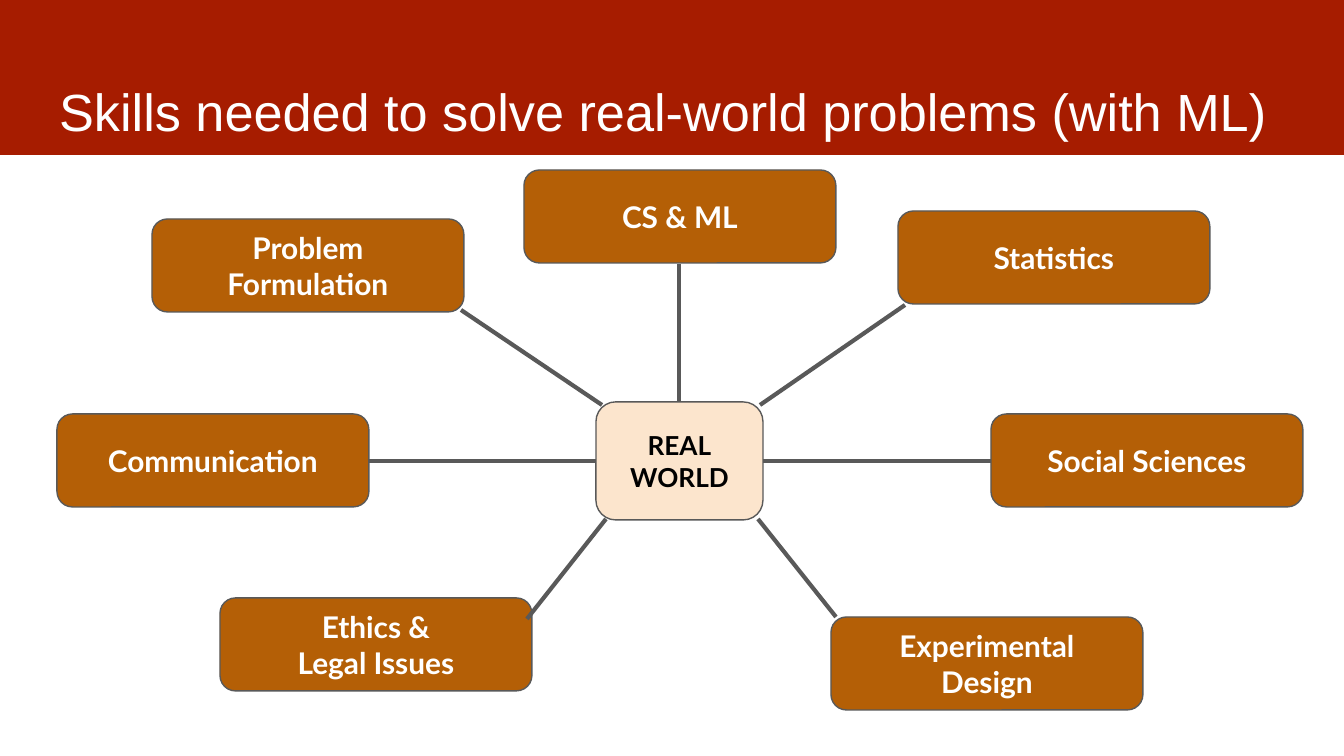
import pptx
import pptx.dml.color
import pptx.enum.shapes
import pptx.enum.text
import pptx.oxml.ns
import pptx.util
from lxml import etree

PX = 914400 / 134.4
SHAPE = pptx.enum.shapes.MSO_SHAPE
ALIGN = pptx.enum.text.PP_ALIGN
ANCHOR = pptx.enum.text.MSO_ANCHOR

SKILL_W, SKILL_H = 312, 93
# name lines, left and top of the box, line start at the box, line end at the centre
SKILLS = [
    (["CS & ML"], (524, 170), (679, 264), (679, 402)),
    (["Statistics"], (898, 211), (905, 305), (760, 405)),
    (["Social Sciences"], (991, 414), (991, 461), (763, 461)),
    (["Experimental", "Design"], (831, 617), (836, 617), (758, 519)),
    (["Ethics &", "Legal Issues"], (220, 598), (527, 619), (606, 519)),
    (["Communication"], (57, 414), (368, 461), (596, 461)),
    (["Problem", "Formulation"], (152, 219), (461, 310), (602, 405)),
]


def px(n):
    return pptx.util.Emu(round(n * PX))


def color(hex_value):
    return pptx.dml.color.RGBColor.from_string(hex_value)


class Deck:
    RED, BROWN, CREAM = "A61C00", "B45F06", "FCE5CD"
    GRAY, WHITE, BLACK = "595959", "FFFFFF", "000000"

    def __init__(self, w, h):
        self.prs = pptx.Presentation()
        self.prs.slide_width, self.prs.slide_height = px(w), px(h)
        self.s = self.prs.slides.add_slide(self.prs.slide_layouts[6])

    def text(self, sp, lines, size, font, hex_value, bold=False,
             align=ALIGN.CENTER, anchor=ANCHOR.MIDDLE):
        tf = sp.text_frame
        frame = {"word_wrap": True, "vertical_anchor": anchor}
        for side in ("left", "top", "right", "bottom"):
            frame["margin_" + side] = pptx.util.Inches(0.1)
        for name, value in frame.items():
            setattr(tf, name, value)
        style = {"size": pptx.util.Pt(size), "name": font, "bold": bold}
        for i, line in enumerate(lines):
            p = tf.add_paragraph() if i else tf.paragraphs[0]
            p.alignment = align
            r = p.add_run()
            r.text = line
            for name, value in style.items():
                setattr(r.font, name, value)
            r.font.color.rgb = color(hex_value)

    def shape(self, kind, x, y, w, h, fill):
        sp = self.s.shapes.add_shape(kind, px(x), px(y), px(w), px(h))
        sp.shadow.inherit = False
        sp.fill.solid()
        sp.fill.fore_color.rgb = color(fill)
        return sp

    def title(self, line):
        band = self.shape(SHAPE.RECTANGLE, -1, -4, 1346, 159, self.RED)
        band.line.fill.background()
        sp = self.s.shapes.add_textbox(px(46), px(66), px(1253), px(85))
        self.text(sp, [line], 28, "Arial", self.WHITE,
                  align=ALIGN.LEFT, anchor=ANCHOR.TOP)

    def box(self, lines, x, y, w, h, fill, size, hex_value):
        sp = self.shape(SHAPE.ROUNDED_RECTANGLE, x, y, w, h, fill)
        sp.line.color.rgb = color(self.GRAY)
        sp.line.width = pptx.util.Pt(0.75)
        self.text(sp, lines, size, "Lato", hex_value, bold=True)

    def line(self, start, end):
        c = self.s.shapes.add_connector(
            pptx.enum.shapes.MSO_CONNECTOR.STRAIGHT,
            *(px(n) for n in start + end))
        c.line.color.rgb = color(self.GRAY)
        c.line.width = pptx.util.Pt(2.25)
        etree.SubElement(c._element.spPr, pptx.oxml.ns.qn("a:effectLst"))


def main():
    deck = Deck(1344, 756)
    deck.title("Skills needed to solve real-world problems (with ML)")
    deck.box(["REAL", "WORLD"], 596, 402, 167, 118, deck.CREAM, 14, deck.BLACK)
    for lines, (x, y), _, _ in SKILLS:
        deck.box(lines, x, y, SKILL_W, SKILL_H, deck.BROWN, 16, deck.WHITE)
    for _, _, start, end in SKILLS:
        deck.line(start, end)
    deck.prs.save("out.pptx")


if __name__ == "__main__":
    main()
